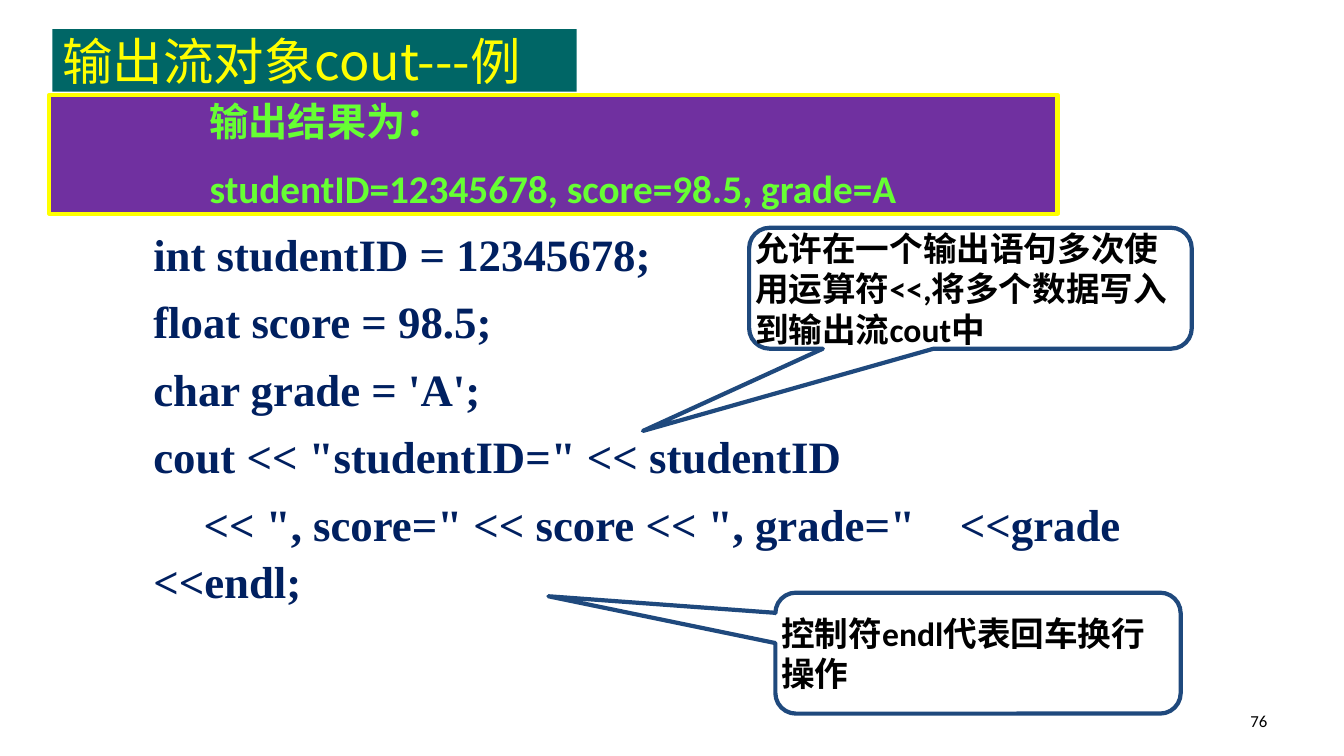
from dataclasses import dataclass

from lxml.etree import SubElement
from pptx import Presentation
from pptx.dml.color import RGBColor
from pptx.enum.shapes import MSO_SHAPE
from pptx.enum.text import MSO_ANCHOR, MSO_AUTO_SIZE, PP_ALIGN
from pptx.oxml.ns import qn
from pptx.util import Inches, Pt

CELL = Inches(0.1)


@dataclass(frozen=True)
class Theme:
    teal: str = "006666"
    yellow: str = "FFFF00"
    purple: str = "7030A0"
    green: str = "66FF33"
    navy: str = "002060"
    blue: str = "1F497D"
    black: str = "000000"
    head: int = 36
    code: int = 32
    result: int = 28
    note: int = 24
    foot: int = 12
    border: int = 3
    sans: str = "Calibri"
    serif: str = "Times New Roman"
    cjk: str = "Noto Sans CJK SC"


THEME = Theme()

CODE = [
    "int studentID = 12345678;",
    "float score = 98.5;",
    "char grade = 'A';",
    'cout << "studentID=" << studentID',
    '\t<< ", score=" << score << ", grade=" \t<<grade <<endl;',
]
RESULT = ["输出结果为：", "studentID=12345678, score=98.5, grade=A"]
NOTES = [
    ("控制符endl代表回车换行操作", (76.9, 58.8, 40.2, 12), (-1.06, -0.47, 0.17)),
    ("允许在一个输出语句多次使用运算符<<,将多个数据写入到输出流cout中",
     (74.3, 22.6, 43.9, 12), (-0.74, 1.18, 0.17)),
]


def grid(*cells):
    return [round(CELL * n) for n in cells]


def write(shape, lines, size, color, font=THEME.sans, bold=True, gap=0,
          lead=None, inset=(0, 0), anchor=MSO_ANCHOR.MIDDLE,
          align=PP_ALIGN.LEFT):
    frame = shape.text_frame
    frame.text = "\n".join(lines)
    frame.word_wrap = True
    frame.auto_size = MSO_AUTO_SIZE.NONE
    frame.vertical_anchor = anchor
    frame.margin_left = frame.margin_right = Inches(inset[0])
    frame.margin_top = frame.margin_bottom = Inches(inset[1])
    for row, para in enumerate(frame.paragraphs):
        para.alignment = align
        para.space_before = Pt(gap if row else 0)
        if lead:
            para.line_spacing = lead
        for run in para.runs:
            run.font.name = font
            run.font.size = Pt(size)
            run.font.bold = bold
            run.font.color.rgb = RGBColor.from_string(color)
            east = SubElement(run._r.get_or_add_rPr(), qn("a:ea"))
            east.set("typeface", THEME.cjk)


def paint(shape, fill=None, line=None):
    if fill:
        shape.fill.solid()
        shape.fill.fore_color.rgb = RGBColor.from_string(fill)
    else:
        shape.fill.background()
    if line:
        shape.line.color.rgb = RGBColor.from_string(line)
        shape.line.width = Pt(THEME.border)


def add_title(slide, text):
    title = slide.shapes.title
    title.left, title.top, title.width, title.height = grid(5.2, 2.9, 52, 6.2)
    paint(title, THEME.teal)
    write(title, [text], THEME.head, THEME.yellow, THEME.cjk, bold=False,
          inset=(0.1, 0.05))


def add_text(slide, place, lines, size, color, **style):
    box = slide.shapes.add_textbox(*grid(*place))
    write(box, lines, size, color, **style)


def add_panel(slide, place, lines):
    panel = slide.shapes.add_shape(MSO_SHAPE.RECTANGLE, *grid(*place))
    panel.shadow.inherit = False
    paint(panel, THEME.purple, THEME.yellow)
    write(panel, lines, THEME.result, THEME.green, gap=14, inset=(0, 0.08))
    panel.text_frame.margin_left = Inches(1.59)


def add_note(slide, text, place, tail):
    note = slide.shapes.add_shape(MSO_SHAPE.ROUNDED_RECTANGULAR_CALLOUT,
                                  *grid(*place))
    note.shadow.inherit = False
    for i, value in enumerate(tail):
        note.adjustments[i] = value
    paint(note, line=THEME.blue)
    write(note, [text], THEME.note, THEME.black)


def main():
    deck = Presentation()
    deck.slide_width, deck.slide_height = Inches(13.33), Inches(7.5)
    slide = deck.slides.add_slide(deck.slide_layouts[5])
    add_title(slide, "输出流对象cout---例")
    add_text(slide, (15.2, 21.7, 96.5, 38.3), CODE, THEME.code, THEME.navy,
             font=THEME.serif, gap=8, lead=1.05, inset=(0, 0.05),
             anchor=MSO_ANCHOR.TOP)
    for text, place, tail in NOTES:
        add_note(slide, text, place, tail)
    add_panel(slide, (4.9, 9.4, 100, 11.8), RESULT)
    add_text(slide, (95.6, 69.5, 31.1, 4), ["76"], THEME.foot, THEME.black,
             bold=False, inset=(0.1, 0.05), align=PP_ALIGN.RIGHT)
    deck.save("out.pptx")


if __name__ == "__main__":
    main()
